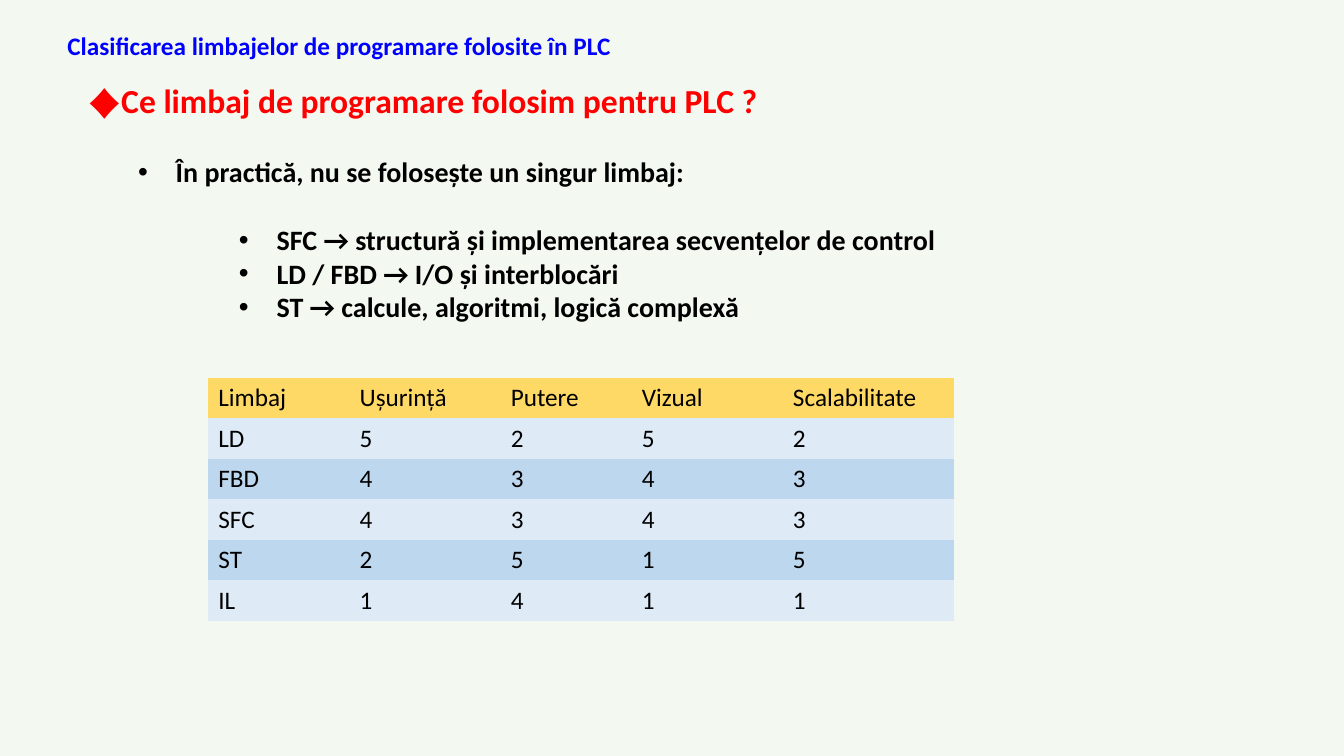
from lxml import etree
from pptx import Presentation, util as u
from pptx.dml.color import RGBColor
from pptx.enum import text
from pptx.oxml import ns


def tint(code):
    return RGBColor.from_string(code)


class Deck:
    """Holds the slide style and draws titles, bullets and tables."""

    font = "Calibri"
    bare = "{2D5ABB26-0587-4C30-8999-92F81FD0307C}"

    def __init__(self, wide, high, back):
        self.file = Presentation()
        self.file.slide_width, self.file.slide_height = u.Cm(wide), u.Cm(high)
        self.page = self.file.slides.add_slide(self.file.slide_layouts[6])
        fill = self.page.background.fill
        fill.solid()
        fill.fore_color.rgb = tint(back)

    def run(self, para, words, size, ink="000000", bold=True):
        run = para.add_run()
        run.text = words
        run.font.name, run.font.size = self.font, u.Pt(size)
        run.font.bold = bold
        run.font.color.rgb = tint(ink)

    def box(self, left, top, wide, high, words, size, ink):
        shape = self.page.shapes.add_textbox(u.Cm(left), u.Cm(top), u.Cm(wide), u.Cm(high))
        frame = shape.text_frame
        frame.word_wrap = True
        self.run(frame.paragraphs[0], words, size, ink)
        return frame

    def bullet(self, frame, words, level, gap=0):
        para = frame.add_paragraph()
        para.level = level
        para.space_before = u.Pt(gap)
        props = para._p.get_or_add_pPr()
        props.set("marL", str(u.Cm(0.95 + 1.27 * level)))
        props.set("indent", str(u.Cm(-0.95)))
        etree.SubElement(props, ns.qn("a:buFont")).set("typeface", "Arial")
        etree.SubElement(props, ns.qn("a:buChar")).set("char", "•")
        self.run(para, words, 20)

    def table(self, left, top, cols, high, rows, fills):
        shape = self.page.shapes.add_table(
            len(rows), len(cols), u.Cm(left), u.Cm(top),
            u.Cm(sum(cols)), u.Cm(high * len(rows)))
        grid = shape.table
        grid._tbl.tblPr.find(ns.qn("a:tableStyleId")).text = self.bare
        for col, wide in zip(grid.columns, cols):
            col.width = u.Cm(wide)
        for line, row, fill in zip(grid.rows, rows, fills):
            line.height = u.Cm(high)
            for cell, words in zip(line.cells, row):
                cell.fill.solid()
                cell.fill.fore_color.rgb = tint(fill)
                cell.vertical_anchor = text.MSO_ANCHOR.MIDDLE
                self.run(cell.text_frame.paragraphs[0], words, 18, bold=False)


def main():
    deck = Deck(33.87, 19.05, "F3F9F0")
    body = deck.box(1.96, 1.9, 29.72, 8.97,
                    "♦Ce limbaj de programare folosim pentru PLC ?", 24, "FF0000")
    deck.bullet(body, "În practică, nu se folosește un singur limbaj:", 1, 24.4)
    deck.bullet(body, "SFC → structură și implementarea secvențelor de control", 3, 24.4)
    deck.bullet(body, "LD / FBD → I/O și interblocări", 3)
    deck.bullet(body, "ST → calcule, algoritmi, logică complexă", 3)
    deck.box(1.45, 0.64, 15.75, 1.02,
             "Clasificarea limbajelor de programare folosite în PLC", 18, "0000FF")
    rows = [
        ["Limbaj", "Ușurință", "Putere", "Vizual", "Scalabilitate"],
        ["LD", "5", "2", "5", "2"],
        ["FBD", "4", "3", "4", "3"],
        ["SFC", "4", "3", "4", "3"],
        ["ST", "2", "5", "1", "5"],
        ["IL", "1", "4", "1", "1"],
    ]
    fills = ["FFD966"] + ["DEEBF7", "BDD7EE"] * 3
    deck.table(5.25, 9.52, [3.56, 3.81, 3.3, 3.81, 4.32], 1.02, rows, fills)
    deck.file.save("out.pptx")


if __name__ == "__main__":
    main()
